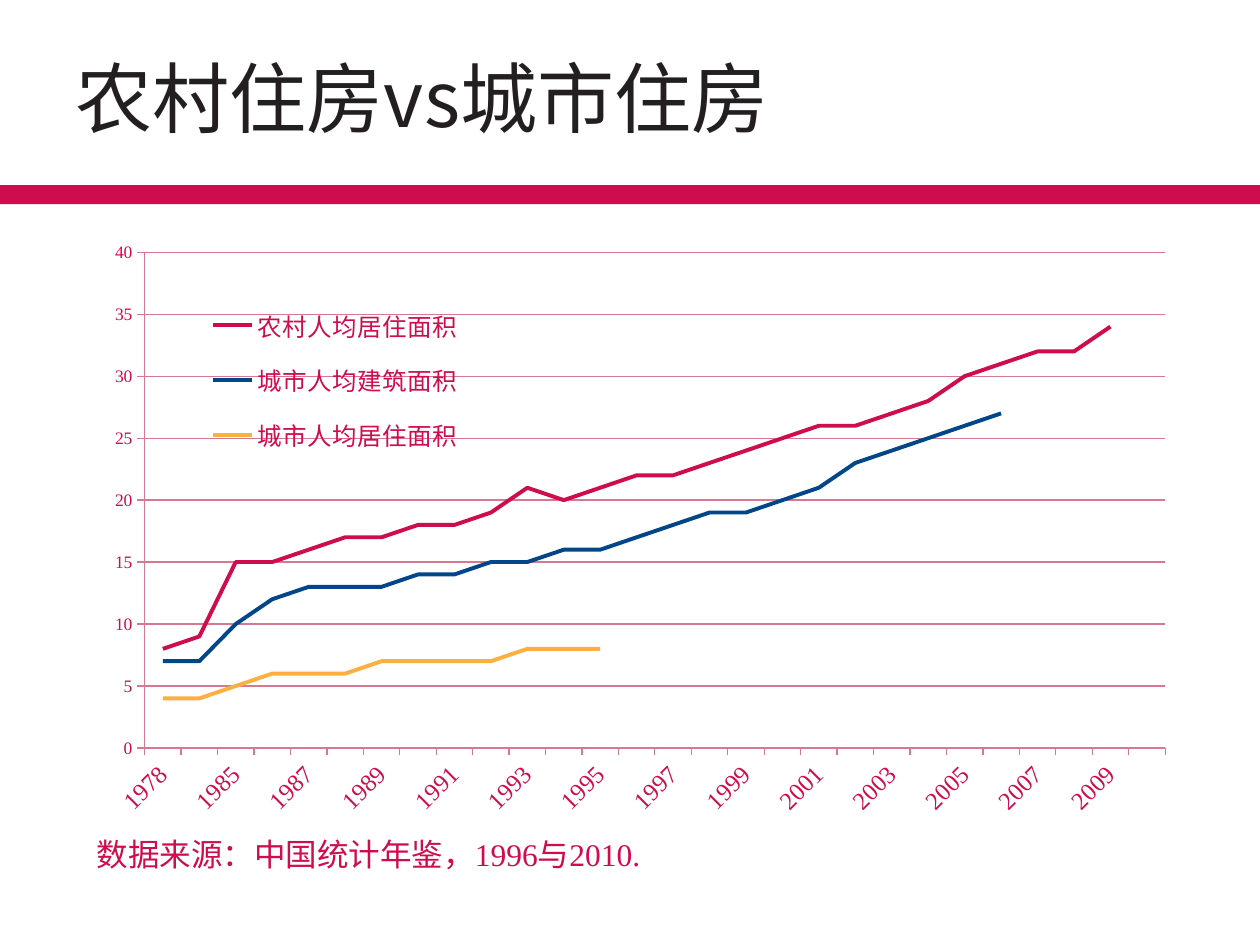
from lxml import etree
from pptx import Presentation
from pptx.chart.data import CategoryChartData
from pptx.dml.color import RGBColor
from pptx.enum.chart import XL_CHART_TYPE as ChartType, XL_LEGEND_POSITION as LegendPos
from pptx.enum.chart import XL_TICK_MARK as TickMark
from pptx.enum.shapes import MSO_SHAPE as Shape
from pptx.enum.text import MSO_ANCHOR as Anchor, PP_ALIGN as Align
from pptx.oxml.ns import qn
from pptx.util import Inches, Pt

CRIMSON = RGBColor(0xCE, 0x0C, 0x4E)
NAVY = RGBColor(0x00, 0x46, 0x89)
AMBER = RGBColor(0xFB, 0xB0, 0x40)
INK = RGBColor(0x23, 0x1F, 0x20)
ROSE = RGBColor(0xD6, 0x78, 0x90)
HAN_FONT, LATIN_FONT = "Noto Sans CJK SC", "Times New Roman"

YEARS = ["1978", "1980"] + [str(year) for year in range(1985, 2011)]
AREAS = [
    ("农村人均居住面积", CRIMSON, [8, 9, 15, 15, 16, 17, 17, 18, 18, 19, 21, 20, 21, 22,
                           22, 23, 24, 25, 26, 26, 27, 28, 30, 31, 32, 32, 34]),
    ("城市人均建筑面积", NAVY, [7, 7, 10, 12, 13, 13, 13, 14, 14, 15, 15, 16, 16, 17,
                        18, 19, 19, 20, 21, 23, 24, 25, 26, 27]),
    ("城市人均居住面积", AMBER, [4, 4, 5, 6, 6, 6, 7, 7, 7, 7, 8, 8, 8]),
]


def write_text(frame, text, font=LATIN_FONT, size=18, color=CRIMSON, anchor=Anchor.TOP):
    frame.word_wrap = True
    frame.vertical_anchor = anchor
    paragraph = frame.paragraphs[0]
    paragraph.alignment = Align.LEFT
    run = paragraph.add_run()
    run.text = text
    style_font(run.font, size, color, font)
    east_asian = etree.SubElement(run.font._element, qn("a:ea"))
    east_asian.set("typeface", HAN_FONT)


def style_font(font, size, color=CRIMSON, name=LATIN_FONT):
    font.size, font.name, font.bold = Pt(size), name, False
    font.color.rgb = color


def place_manually(parent, index, box, inner=False):
    """Give a chart part a fixed box, in fractions of the chart."""
    for old in parent.findall(qn("c:layout")):
        parent.remove(old)
    layout = etree.Element(qn("c:layout"))
    parent.insert(index, layout)
    manual = etree.SubElement(layout, qn("c:manualLayout"))
    settings = [("layoutTarget", "inner")] if inner else []
    settings += [("xMode", "edge"), ("yMode", "edge"), *zip("xywh", box)]
    for tag, value in settings:
        etree.SubElement(manual, qn(f"c:{tag}")).set("val", str(value))


class SlideBuilder:
    def __init__(self, slide):
        self.slide = slide

    def title(self, text, *box):
        title = self.slide.shapes.title
        title.left, title.top, title.width, title.height = map(Inches, box)
        write_text(title.text_frame, text, font=HAN_FONT, size=44, color=INK,
                   anchor=Anchor.MIDDLE)

    def band(self, *box):
        band = self.slide.shapes.add_shape(Shape.RECTANGLE, *map(Inches, box))
        band.shadow.inherit = False
        band.fill.solid()
        band.fill.fore_color.rgb = CRIMSON
        band.line.fill.background()

    def note(self, text, *box):
        note = self.slide.shapes.add_textbox(*map(Inches, box))
        write_text(note.text_frame, text)

    def line_chart(self, categories, series, *box):
        data = CategoryChartData()
        data.categories = categories
        for name, _, values in series:
            data.add_series(name, values)
        chart = self.slide.shapes.add_chart(ChartType.LINE, *map(Inches, box), data).chart
        chart.has_title = False
        style_font(chart.font, 10)
        for line, (_, color, _) in zip(chart.plots[0].series, series):
            line.smooth = False
            line.format.line.width = Pt(2.25)
            line.format.line.color.rgb = color
        self.axes(chart)
        self.legend(chart)
        place_manually(chart._chartSpace.chart.plotArea, 0, (0.072, 0.051, 0.9, 0.795),
                       inner=True)

    def axes(self, chart):
        years, area = chart.category_axis, chart.value_axis
        for axis, size in ((years, 14), (area, 10)):
            axis.major_tick_mark, axis.minor_tick_mark = TickMark.OUTSIDE, TickMark.NONE
            axis.format.line.color.rgb = ROSE
            axis.format.line.width = Pt(0.75)
            style_font(axis.tick_labels.font, size)
        area.minimum_scale, area.maximum_scale, area.major_unit = 0, 40, 5
        area.has_major_gridlines = True
        area.major_gridlines.format.line.color.rgb = ROSE
        area.major_gridlines.format.line.width = Pt(0.75)

        # Slanted labels, every second year
        axis_xml = years._element
        axis_xml.find(qn("c:txPr")).find(qn("a:bodyPr")).set("rot", "-2700000")
        skip = etree.Element(qn("c:tickLblSkip"))
        skip.set("val", "2")
        axis_xml.find(qn("c:lblOffset")).addnext(skip)

    def legend(self, chart):
        chart.has_legend = True
        legend = chart.legend
        legend.position = LegendPos.RIGHT
        legend.include_in_layout = False
        style_font(legend.font, 14)
        place_manually(legend._element, 1, (0.125, 0.108, 0.23, 0.295))


def main():
    deck = Presentation()
    deck.slide_width, deck.slide_height = Inches(10), Inches(7.5)
    builder = SlideBuilder(deck.slides.add_slide(deck.slide_layouts[5]))

    # Heading
    builder.band(-0.02, 1.47, 10.04, 0.15)
    builder.title("农村住房vs城市住房", 0.5, 0.29, 9, 0.95)

    # Living space per person, with its source
    builder.line_chart(YEARS, AREAS, 0.5, 1.75, 9, 4.95)
    builder.note("数据来源：中国统计年鉴，1996与2010.", 0.67, 6.58, 7.09, 0.4)

    deck.save("out.pptx")


if __name__ == "__main__":
    main()
